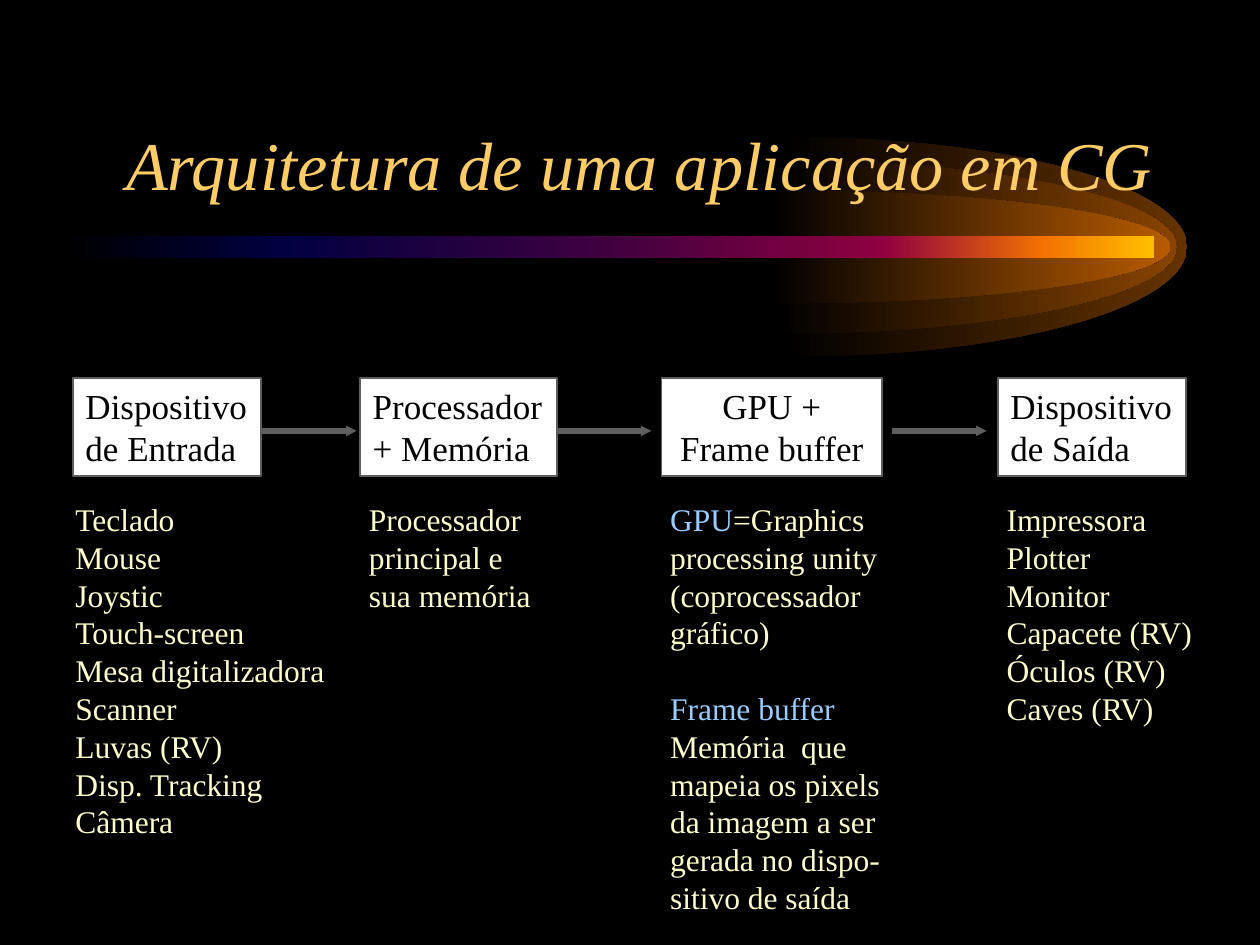
from dataclasses import dataclass

from lxml.etree import SubElement
from pptx import Presentation
from pptx.dml.color import RGBColor
from pptx.enum.shapes import MSO_CONNECTOR, MSO_SHAPE
from pptx.enum.text import MSO_ANCHOR, MSO_AUTO_SIZE, PP_ALIGN
from pptx.oxml.ns import qn
from pptx.util import Inches, Pt

BLACK = RGBColor(0x00, 0x00, 0x00)
WHITE = RGBColor(0xFF, 0xFF, 0xFF)
GRAY = RGBColor(0x5F, 0x5F, 0x5F)
GOLD = RGBColor(0xFF, 0xCC, 0x66)
CREAM = RGBColor(0xFF, 0xFF, 0xCC)
BLUE = RGBColor(0x99, 0xCC, 0xFF)
BROWN = RGBColor(0x66, 0x33, 0x00)
RUST = RGBColor(0x89, 0x44, 0x00)
AMBER = RGBColor(0xB7, 0x5B, 0x00)
NAVY = RGBColor(0x00, 0x00, 0x40)
PLUM = RGBColor(0x40, 0x00, 0x40)
WINE = RGBColor(0x8F, 0x00, 0x40)
FLAME = RGBColor(0xF2, 0x73, 0x00)
YELLOW = RGBColor(0xFF, 0xBF, 0x00)

FONT = "Times New Roman"
WIDE, HIGH = 10, 7.5
AXIS, REACH, BEND = 1.96, 3.13, 0.55
BOX_TOP, BOX_HIGH = 0.4 * HIGH, 0.78
FLOW = 3.42
NOTE_TOP, LINE = 3.92, 0.3
TERMS = ("GPU", "Frame buffer")


@dataclass
class Stage:
    """A box of the flow, with the notes beneath it."""
    left: float
    wide: float
    head: str
    note_left: float
    note_wide: float
    notes: str
    align: PP_ALIGN = PP_ALIGN.LEFT


@dataclass
class Glow:
    """A half ellipse that fades out to the left."""
    mid: float
    rise: float
    color: RGBColor


STAGES = (
    Stage(0.58, 1.49, "Dispositivo\nde Entrada", 0.5, 2.18,
          "Teclado\nMouse\nJoystic\nTouch-screen\nMesa digitalizadora\n"
          "Scanner\nLuvas (RV)\nDisp. Tracking\nCâmera"),
    Stage(2.86, 1.56, "Processador\n+ Memória", 2.83, 1.49,
          "Processador\nprincipal e\nsua memória"),
    Stage(5.25, 1.75, "GPU +\nFrame buffer", 5.22, 1.87,
          "GPU=Graphics\nprocessing unity\n(coprocessador\ngráfico)\n"
          "Frame buffer\nMemória  que\nmapeia os pixels\nda imagem a ser\n"
          "gerada no dispo-\nsitivo de saída", PP_ALIGN.CENTER),
    Stage(7.92, 1.49, "Dispositivo\nde Saída", 7.89, 1.69,
          "Impressora\nPlotter\nMonitor\nCapacete (RV)\nÓculos (RV)\nCaves (RV)"),
)
GLOWS = (Glow(6.29, 0.87, BROWN), Glow(6.21, 0.69, RUST), Glow(6.16, 0.45, AMBER))
ARROWS = (2.08, 4.42, 7.08)
BAR = ((0, BLACK), (20, NAVY), (50, PLUM), (75, WINE), (90, FLAME), (100, YELLOW))


def style(frame, size: float, color: RGBColor, align: PP_ALIGN) -> None:
    """Format every run of a text frame."""
    for para in frame.paragraphs:
        para.alignment = align
        for run in para.runs:
            run.font.name = FONT
            run.font.size = Pt(size)
            run.font.color.rgb = color


def fade(shape, stops) -> None:
    """Fill a shape with a gradient from left to right."""
    shape.shadow.inherit = False
    shape.line.fill.background()
    shape.fill.gradient()
    shape.fill.gradient_angle = 0
    bands = shape.element.spPr.find(qn("a:gradFill")).find(qn("a:gsLst"))
    for band in list(bands):
        bands.remove(band)
    for place, color in stops:
        band = SubElement(bands, qn("a:gs"), pos=str(place * 1000))
        SubElement(band, qn("a:srgbClr"), val=str(color))


def curve(shape, count: int) -> None:
    """Turn each three of the first lines of an outline into one curve."""
    lines = list(shape.element.iter(qn("a:lnTo")))
    for first in range(0, 3 * count, 3):
        trio = lines[first:first + 3]
        trio[0].tag = qn("a:cubicBezTo")
        for line in trio[1:]:
            trio[0].append(line[0])
            line.getparent().remove(line)


def draw_glow(slide, glow: Glow) -> None:
    """Draw one half ellipse around the axis of the bar."""
    ring = ((0, -1), (BEND, -1), (1, -BEND), (1, 0), (1, BEND), (BEND, 1), (0, 1))
    points = [(Inches(glow.mid + REACH * across), Inches(AXIS + glow.rise * down))
              for across, down in ring]
    points += [(Inches(glow.mid - 0.05), Inches(AXIS + glow.rise)),
               (Inches(glow.mid), Inches(AXIS))]
    pen = slide.shapes.build_freeform(*points[0])
    pen.add_line_segments(points[1:], close=True)
    shape = pen.convert_to_shape()
    curve(shape, 2)
    fade(shape, ((0, BLACK), (100, glow.color)))


def draw_box(slide, stage: Stage) -> None:
    """Draw the white box of a stage."""
    box = slide.shapes.add_shape(
        MSO_SHAPE.RECTANGLE, Inches(stage.left), Inches(BOX_TOP),
        Inches(stage.wide), Inches(BOX_HIGH))
    box.shadow.inherit = False
    box.fill.solid()
    box.fill.fore_color.rgb = WHITE
    box.line.color.rgb = GRAY
    box.line.width = Pt(1)
    frame = box.text_frame
    frame.word_wrap = False
    frame.vertical_anchor = MSO_ANCHOR.TOP
    frame.text = stage.head
    style(frame, 20, BLACK, stage.align)


def draw_notes(slide, stage: Stage) -> None:
    """Write the notes of a stage, with its terms in blue."""
    gap = LINE if "\nFrame buffer" in stage.notes else 0
    count = len(stage.notes.split("\n"))
    area = slide.shapes.add_textbox(
        Inches(stage.note_left), Inches(NOTE_TOP),
        Inches(stage.note_wide), Inches(0.1 + LINE * count + gap))
    frame = area.text_frame
    frame.word_wrap = False
    frame.text = stage.notes
    for para in frame.paragraphs:
        for term in TERMS:
            if para.text.startswith(term):
                rest = para.text[len(term):]
                para.text = term
                if rest:
                    para.add_run().text = rest
                else:
                    para.space_before = Inches(gap)
    style(frame, 18, CREAM, PP_ALIGN.LEFT)
    for para in frame.paragraphs:
        for run in para.runs:
            if run.text in TERMS:
                run.font.color.rgb = BLUE


def draw_arrow(slide, left: float) -> None:
    """Draw an arrow between two stages."""
    arrow = slide.shapes.add_connector(
        MSO_CONNECTOR.STRAIGHT, Inches(left), Inches(FLOW),
        Inches(left + 0.75), Inches(FLOW))
    arrow.line.color.rgb = GRAY
    arrow.line.width = Pt(3)
    edge = arrow._element.spPr.find(qn("a:ln"))
    SubElement(edge, qn("a:tailEnd"), type="triangle", w="sm", len="sm")
    SubElement(arrow._element.spPr, qn("a:effectLst"))


def set_title(slide) -> None:
    """Place and format the title."""
    title = slide.shapes.title
    title.left, title.top = Inches(0.75), Inches(0.42)
    title.width, title.height = Inches(0.85 * WIDE), Inches(HIGH / 6)
    frame = title.text_frame
    frame.text = "Arquitetura de uma aplicação em CG"
    frame.auto_size = MSO_AUTO_SIZE.NONE
    frame.vertical_anchor = MSO_ANCHOR.BOTTOM
    style(frame, 39, GOLD, PP_ALIGN.RIGHT)
    frame.paragraphs[0].runs[0].font.italic = True
    slide.shapes._spTree.append(title._element)


def main() -> None:
    """Build the slide and save it."""
    deck = Presentation()
    deck.slide_width, deck.slide_height = Inches(WIDE), Inches(HIGH)
    slide = deck.slides.add_slide(deck.slide_layouts[5])
    slide.background.fill.solid()
    slide.background.fill.fore_color.rgb = BLACK
    for glow in GLOWS:
        draw_glow(slide, glow)
    bar = slide.shapes.add_shape(
        MSO_SHAPE.ROUNDED_RECTANGLE, Inches(0.5), Inches(AXIS - 0.09),
        Inches(8.66), Inches(0.18))
    bar.adjustments[0] = 0.11
    fade(bar, BAR)
    set_title(slide)
    for stage in STAGES:
        draw_box(slide, stage)
        draw_notes(slide, stage)
    for left in ARROWS:
        draw_arrow(slide, left)
    deck.save("out.pptx")


if __name__ == "__main__":
    main()
